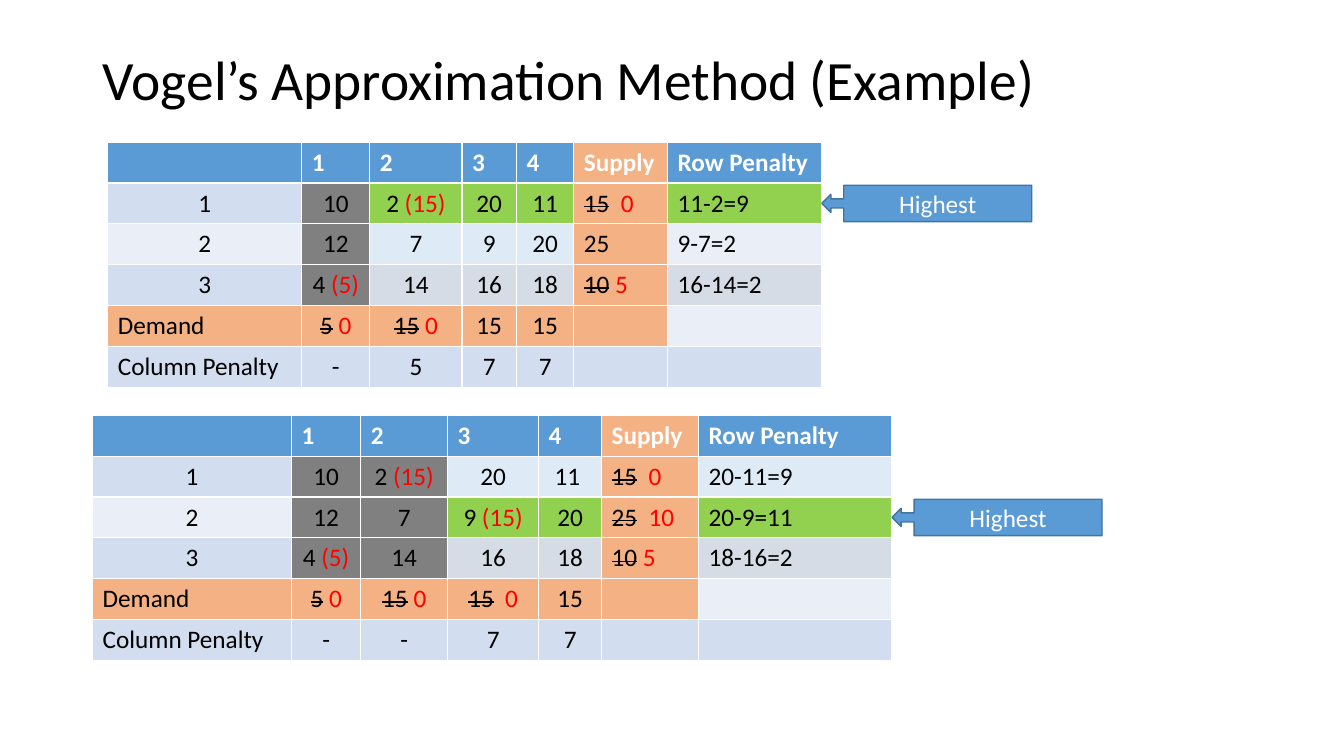
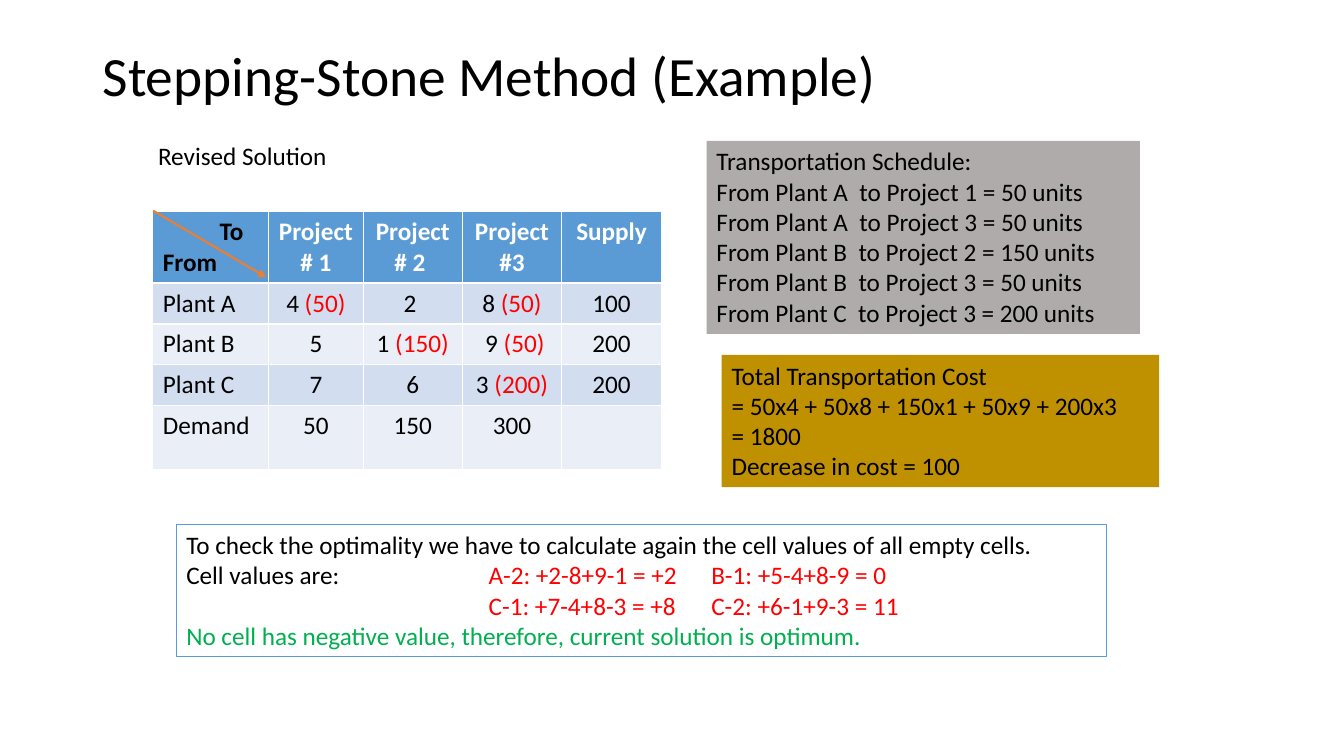
from lxml import etree
from pptx import Presentation
from pptx.dml.color import RGBColor
from pptx.enum import shapes, text
from pptx.oxml import ns
from pptx.util import Pt

BLACK = RGBColor(0x00, 0x00, 0x00)
WHITE = RGBColor(0xFF, 0xFF, 0xFF)
RED = RGBColor(0xFF, 0x00, 0x00)
GREEN = RGBColor(0x00, 0xB0, 0x50)
BLUE = RGBColor(0x5B, 0x9B, 0xD5)
DARK_BLUE = RGBColor(0x43, 0x73, 0x9E)
ORANGE = RGBColor(0xED, 0x7D, 0x31)
GOLD = RGBColor(0xBF, 0x90, 0x00)
WARM_GRAY = RGBColor(0xAF, 0xAB, 0xAB)
# One letter per cell in the tables' fill patterns
FILLS = {
    "B": BLUE,
    "L": RGBColor(0xD2, 0xDE, 0xEF),  # band
    "P": RGBColor(0xEA, 0xEF, 0xF7),  # pale band
    "S": RGBColor(0xDE, 0xEB, 0xF7),  # sky
    "D": RGBColor(0xD6, 0xDC, 0xE5),  # dusk
    "O": RGBColor(0xF4, 0xB1, 0x83),  # supply and demand
    "X": RGBColor(0x80, 0x80, 0x80),  # crossed out
    "G": RGBColor(0x92, 0xD0, 0x50),  # highest penalty
}
FONT = "Calibri"
ROW_H = 29.2
LEFT, CENTER = text.PP_ALIGN.LEFT, text.PP_ALIGN.CENTER


def write(p, line, colour=BLACK, bold=False, align=LEFT, size=18):
    """Fill a paragraph; "|" parts runs, "~" strikes a run out, "!" makes it red."""
    p.alignment = align
    p.font.name = FONT
    p.font.size = Pt(size)
    for part in line.split("|"):
        r = p.add_run()
        r.text = part.lstrip("~!")
        r.font.name = FONT
        r.font.size = Pt(size)
        r.font.bold = bold
        r.font.color.rgb = RED if part.startswith("!") else colour
        if part.startswith("~"):
            r.font._element.set("strike", "sngStrike")


def add_grid(s, left, top, widths, heights, rows, fills):
    """Add a table with its fills and return it; texts are left to the caller."""
    frame = s.shapes.add_table(len(rows), len(widths), Pt(left), Pt(top),
                               Pt(sum(widths)), Pt(sum(heights)))
    table = frame.table
    for col, width in zip(table.columns, widths):
        col.width = Pt(width)
    for row, height in zip(table.rows, heights):
        row.height = Pt(height)
    for i, pattern in enumerate(fills):
        for j, letter in enumerate(pattern):
            cell = table.cell(i, j)
            cell.fill.solid()
            cell.fill.fore_color.rgb = FILLS[letter]
    return table


prs = Presentation()
prs.slide_width, prs.slide_height = Pt(960), Pt(540)

slides = []
for title, spacing in [("Vogel’s Approximation Method (Example)", 1.0),
                       ("Stepping-Stone Method (Example)", 0.9)]:
    s = prs.slides.add_slide(prs.slide_layouts[6])
    tf = s.shapes.add_textbox(Pt(66.2), Pt(28.8), Pt(813), Pt(54)).text_frame
    tf.word_wrap = True
    tf.vertical_anchor = text.MSO_ANCHOR.MIDDLE
    tf.paragraphs[0].line_spacing = spacing
    write(tf.paragraphs[0], title, size=39.6)
    slides.append(s)
vogel, stepping = slides

# Vogel's method: two steps, each a table with a callout at its highest penalty
HEADER = ["", "1", "2", "3", "4", "Supply", "Row Penalty"]
steps = [
    (77, 101.5, [138.6, 48.6, 65.8, 39, 41, 67, 110], 1,
     [HEADER,
      ["1", "10", "2 |!(15)", "20", "11", "~15|  |!0", "11-2=9"],
      ["2", "12", "7", "9", "20", "25", "9-7=2"],
      ["3", "4 |!(5)", "14", "16", "18", "~10| |!5", "16-14=2"],
      ["Demand", "~5| |!0", "~15| |!0", "15", "15", "", ""],
      ["Column Penalty", "-", "5", "7", "7", "", ""]],
     ["BBBBBOB", "LXGGGOG", "PXSSSOP", "LXDDDOD", "OOOOOOP", "LLLLLLL"]),
    (66.2, 296.6, [142, 49.6, 62, 65, 45, 69.2, 138.2], 2,
     [HEADER,
      ["1", "10", "2 |!(15)", "20", "11 ", "~15|  |!0", "20-11=9"],
      ["2", "12", "7", "9 |!(15)", "20", "~25|  |!10", "20-9=11"],
      ["3", "4 |!(5)", "14", "16", "18", "~10| |!5", "18-16=2"],
      ["Demand", "~5| |!0", "~15| |!0", "~15|!  0", "15", "", ""],
      ["Column Penalty", "-", "-", "7", "7", "", ""]],
     ["BBBBBOB", "LXXSSOS", "PXXGGOG", "LXXDDOD", "OOOOOOP", "LLLLLLL"]),
]
for left, top, widths, highest, rows, fills in steps:
    table = add_grid(vogel, left, top, widths, [ROW_H] * len(rows), rows, fills)
    for i, row in enumerate(rows):
        for j, value in enumerate(row):
            centred = i > 0 and j < 5 and (j > 0 or i < 4)
            write(table.cell(i, j).text_frame.paragraphs[0], value,
                  BLACK if i else WHITE, bold=i == 0,
                  align=CENTER if centred else LEFT)

    sp = vogel.shapes.add_shape(
        shapes.MSO_SHAPE.LEFT_ARROW_CALLOUT, Pt(left + sum(widths)),
        Pt(top + highest * ROW_H + 1.6), Pt(150), Pt(26))
    sp.shadow.inherit = False
    for k, value in enumerate([0.25, 0.25, 0.25, 0.895]):
        sp.adjustments[k] = value
    sp.fill.solid()
    sp.fill.fore_color.rgb = BLUE
    sp.line.color.rgb = DARK_BLUE
    sp.line.width = Pt(1)
    sp.text_frame.vertical_anchor = text.MSO_ANCHOR.MIDDLE
    write(sp.text_frame.paragraphs[0], "Highest", WHITE, align=CENTER)

# Stepping-stone method: revised allocation
rows = [
    ["", "Project # 1", "Project # 2 ", "Project #3", "Supply"],
    ["Plant A", "4 |!(50)", "2 ", "8 |!(50)", "100"],
    ["Plant B", "5", "1 |!(150)", " 9 |!(50)", "200"],
    ["Plant C", "7", "6", "3 |!(200)", "200"],
    ["Demand", "50", "150", "300", ""],
]
table = add_grid(stepping, 109.2, 151, [82.6, 67.8, 70.6, 71.2, 71.2],
                 [51.2, ROW_H, ROW_H, ROW_H, 45.4], rows,
                 [letter * 5 for letter in "BLPLP"])
for i, row in enumerate(rows):
    for j, value in enumerate(row):
        if i or j:
            write(table.cell(i, j).text_frame.paragraphs[0], value,
                  BLACK if i else WHITE, bold=i == 0,
                  align=CENTER if j else LEFT)
tf = table.cell(0, 0).text_frame
tf.paragraphs[0]._p.get_or_add_pPr().set("marL", str(Pt(40.5)))
write(tf.paragraphs[0], "To", bold=True)
write(tf.add_paragraph(), "From", bold=True)

diagonal = stepping.shapes.add_connector(
    shapes.MSO_CONNECTOR.STRAIGHT, Pt(109.4), Pt(150.5), Pt(190.2), Pt(198))
diagonal.line.color.rgb = ORANGE
diagonal.line.width = Pt(1.5)
etree.SubElement(diagonal.line._get_or_add_ln(), ns.qn("a:tailEnd"), type="triangle")
etree.SubElement(diagonal._element.spPr, ns.qn("a:effectLst"))

# Text boxes: left, top, width, height, fill, line, paragraphs with colours
routes = [("A", 1, 50), ("A", 3, 50), ("B", 2, 150), ("B", 3, 50), ("C", 3, 200)]
boxes = [
    (105.8, 96.8, 142, 29, None, None, [("Revised Solution ", BLACK)]),
    (515.5, 253.6, 312.5, 94.4, GOLD, None, [
        ("Total Transportation Cost", BLACK),
        ("= 50x4 + 50x8 + 150x1 + 50x9 + 200x3", BLACK),
        ("= 1800", BLACK),
        ("Decrease in cost = 100", BLACK)]),
    (126, 374.6, 664.6, 94.4, None, BLUE, [
        ("To check the optimality we have to calculate again "
         "the cell values of all empty cells.", BLACK),
        ("Cell values are:\t|!A-2: +2-8+9-1 = +2\tB-1: +5-4+8-9 = 0", BLACK),
        ("\tC-1: +7-4+8-3 = +8\tC-2: +6-1+9-3 = 11", RED),
        ("No cell has negative value, therefore, current solution is optimum.",
         GREEN)]),
    (504.7, 100.6, 309.6, 138, WARM_GRAY, None,
     [("Transportation Schedule:", BLACK)]
     + [(f"From Plant {plant}  to Project {project} = {units} units", BLACK)
        for plant, project, units in routes]),
]
for left, top, width, height, fill, line, lines in boxes:
    sp = stepping.shapes.add_textbox(Pt(left), Pt(top), Pt(width), Pt(height))
    if fill is not None:
        sp.fill.solid()
        sp.fill.fore_color.rgb = fill
    if line is not None:
        sp.line.color.rgb = line
        sp.line.width = Pt(0.75)
    tf = sp.text_frame
    tf.word_wrap = True
    for k, (content, colour) in enumerate(lines):
        p = tf.add_paragraph() if k else tf.paragraphs[0]
        if "\t" in content:
            tabs = etree.SubElement(p._p.get_or_add_pPr(), ns.qn("a:tabLst"))
            for stop in (216, 375):
                etree.SubElement(tabs, ns.qn("a:tab"), pos=str(Pt(stop)), algn="l")
        write(p, content, colour)

prs.save("out.pptx")
